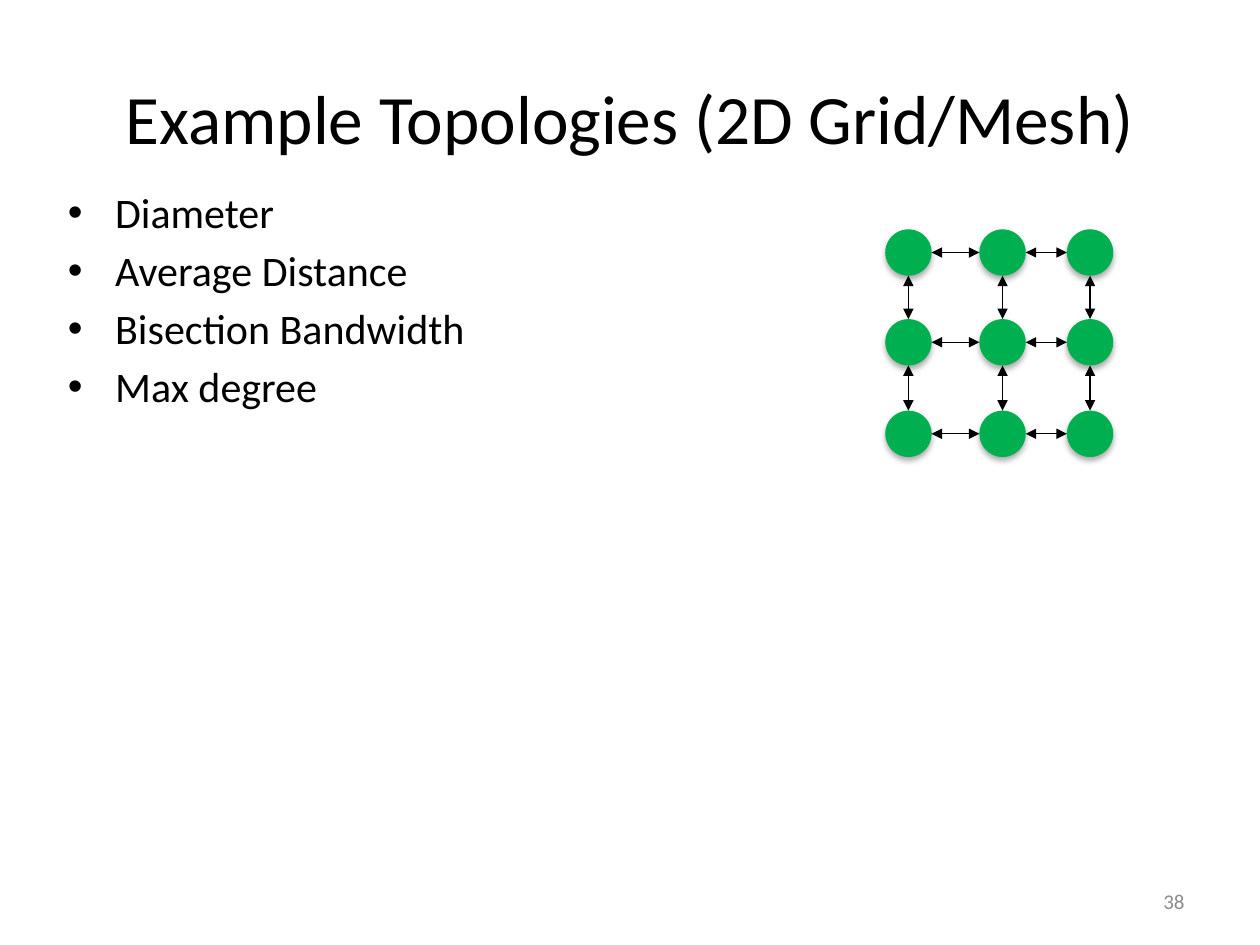
import pptx
import pptx.util
import pptx.dml.color
import pptx.enum.shapes
import pptx.enum.text
import pptx.oxml
import pptx.oxml.ns
from lxml import etree

Pt = pptx.util.Pt
ALIGN = pptx.enum.text.PP_ALIGN
ANCHOR = pptx.enum.text.MSO_ANCHOR
qn = pptx.oxml.ns.qn


def color(hex_text):
    return pptx.dml.color.RGBColor.from_string(hex_text)


def format_text(frame, size, hex_text, align, anchor):
    frame.word_wrap = True
    frame.vertical_anchor = anchor
    for paragraph in frame.paragraphs:
        paragraph.alignment = align
        for run in paragraph.runs:
            run.font.name = "Calibri"
            run.font.size = Pt(size)
            run.font.color.rgb = color(hex_text)


prs = pptx.Presentation()
prs.slide_width, prs.slide_height = Pt(720), Pt(540)
slide = prs.slides.add_slide(prs.slide_layouts[5])

# Title
title = slide.shapes.title
title.left, title.top, title.width, title.height = Pt(36), Pt(21.6), Pt(648), Pt(90)
title.text_frame.text = "Example Topologies (2D Grid/Mesh)"
format_text(title.text_frame, 39.6, "000000", ALIGN.CENTER, ANCHOR.MIDDLE)

# Bulleted metrics
metrics = slide.shapes.add_textbox(Pt(31.7), Pt(103), Pt(317.5), Pt(394.6))
metrics.text_frame.text = "Diameter\nAverage Distance\nBisection Bandwidth\nMax degree"
format_text(metrics.text_frame, 24, "000000", ALIGN.LEFT, ANCHOR.TOP)
for paragraph in metrics.text_frame.paragraphs:
    paragraph.space_before = Pt(4.4)
    properties = paragraph._p.get_or_add_pPr()
    properties.set("marL", str(Pt(27)))
    properties.set("indent", str(-Pt(27)))
    etree.SubElement(properties, qn("a:buFont"), typeface="Arial")
    etree.SubElement(properties, qn("a:buChar"), char="•")

# Mesh nodes, given by their centres
diameter = 26.5
radius = diameter / 2
columns = [519.1, 572.9, 622.9]
rows = [144.3, 195.6, 247.9]
shadow_xml = (
    f'<a:effectLst {pptx.oxml.ns.nsdecls("a")}>'
    f'<a:outerShdw blurRad="{Pt(3.5)}" dist="{Pt(2.2)}" dir="5400000" rotWithShape="0">'
    '<a:srgbClr val="000000"><a:alpha val="32000"/></a:srgbClr>'
    '</a:outerShdw></a:effectLst>'
)
for y in rows:
    for x in columns:
        node = slide.shapes.add_shape(
            pptx.enum.shapes.MSO_SHAPE.OVAL,
            Pt(x - radius), Pt(y - radius), Pt(diameter), Pt(diameter))
        node.fill.solid()
        node.fill.fore_color.rgb = color("00B050")
        node.line.fill.background()
        node._element.spPr.append(pptx.oxml.parse_xml(shadow_xml))

# Two-way links between neighbouring nodes
links = [(left + radius, y, right - radius, y)
         for y in rows for left, right in zip(columns, columns[1:])]
links += [(x, upper + radius, x, lower - radius)
          for x in columns for upper, lower in zip(rows, rows[1:])]
for ends in links:
    link = slide.shapes.add_connector(
        pptx.enum.shapes.MSO_CONNECTOR.STRAIGHT, *[Pt(value) for value in ends])
    link.line.color.rgb = color("000000")
    link.line.width = Pt(0.75)
    line = link.line._get_or_add_ln()
    for arrowhead in ("a:headEnd", "a:tailEnd"):
        etree.SubElement(line, qn(arrowhead), type="triangle")
    etree.SubElement(link._element.spPr, qn("a:effectLst"))

# Slide number
slide_number = slide.shapes.add_textbox(Pt(516), Pt(500.5), Pt(168), Pt(28.75))
slide_number.text_frame.text = "38"
format_text(slide_number.text_frame, 12, "8C8C8C", ALIGN.RIGHT, ANCHOR.MIDDLE)

prs.save("out.pptx")
